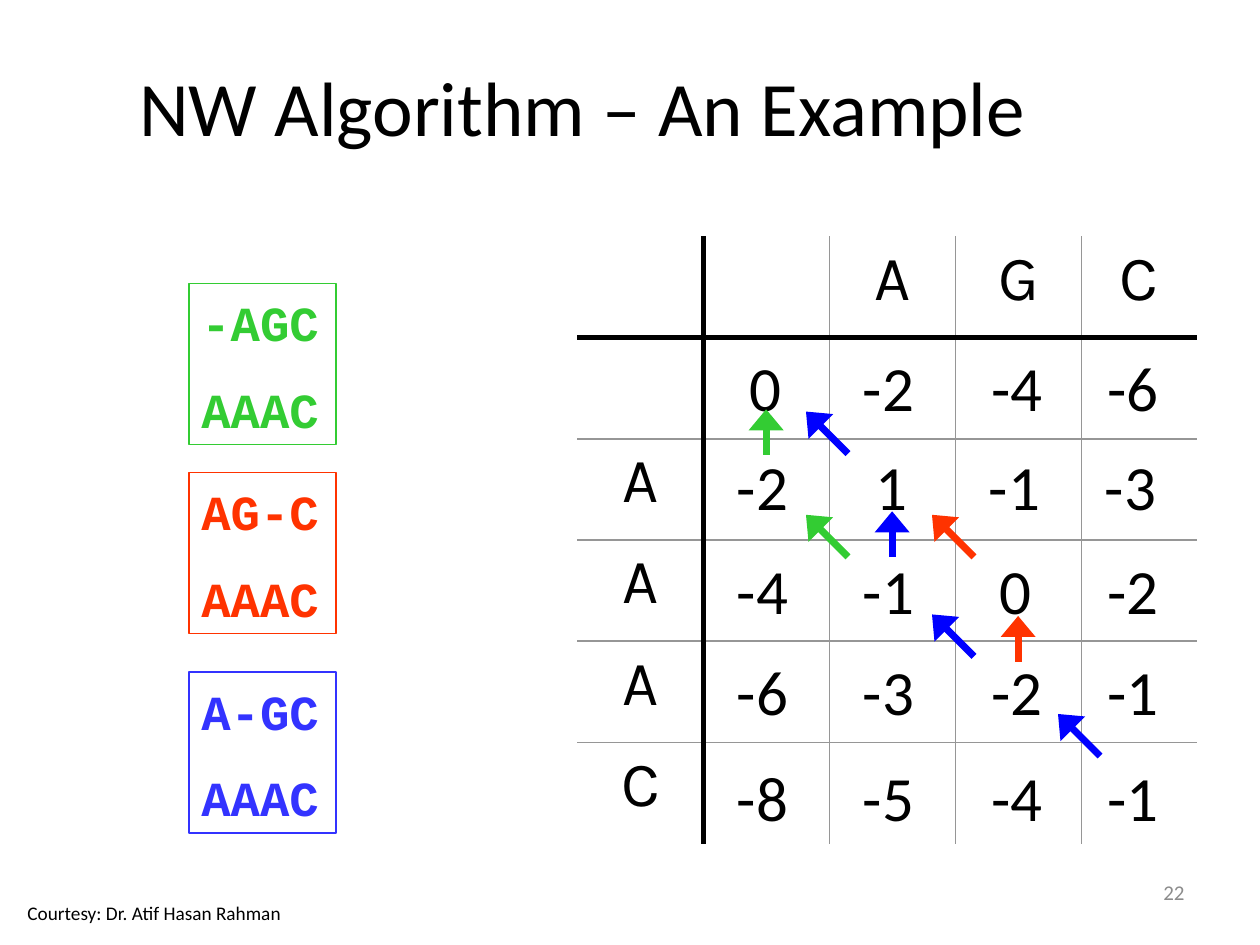
from lxml import etree
from pptx import Presentation
from pptx.dml.color import RGBColor
from pptx.enum.shapes import MSO_CONNECTOR, MSO_SHAPE
from pptx.enum.text import MSO_ANCHOR, PP_ALIGN
from pptx.oxml.ns import qn
from pptx.util import Pt

STRAIGHT = MSO_CONNECTOR.STRAIGHT
RECT = MSO_SHAPE.RECTANGLE
TOP, MIDDLE, BOTTOM = MSO_ANCHOR.TOP, MSO_ANCHOR.MIDDLE, MSO_ANCHOR.BOTTOM
LEFT, CENTER, RIGHT = PP_ALIGN.LEFT, PP_ALIGN.CENTER, PP_ALIGN.RIGHT

BLACK, GRAY = "000000", "969696"
GREEN, RED, BLUE, INDIGO = "33CC33", "FF3300", "0000FF", "3333FF"

GRID_LEFT, GRID_TOP = 330, 135
COL_W, LAST_COL_W, ROW_H = 72, 66, 57.85
GRID_RIGHT = GRID_LEFT + 4 * COL_W + LAST_COL_W
GRID_BOTTOM = GRID_TOP + 6 * ROW_H

TOP_SEQUENCE, SIDE_SEQUENCE = "AGC", "AAAC"
SCORES = [
    ["0", "-2", "-4", "-6"],
    ["-2", "1", "-1", "-3"],
    ["-4", "-1", "0", "-2"],
    ["-6", "-3", "-2", "-1"],
    ["-8", "-5", "-4", "-1"],
]
SCORE_X = [414, 486, 559.4, 625.7]
SCORE_Y = [195.8, 252, 311.8, 369.4, 429.8]
SCORE_SHIFT = {(1, 2): -1.4, (1, 3): -1.5, (2, 2): -2.8}

DIAGONALS = [
    (0, 259.2, BLUE),
    (0, 318.2, GREEN),
    (1, 318.2, RED),
    (1, 375.1, BLUE),
    (2, 432, BLUE),
]
UPS = [(0, 259.9, GREEN), (1, 318.2, BLUE), (2, 378, RED)]

ALIGNMENTS = [("-AGC", 162, GREEN), ("AG-C", 270, RED), ("A-GC", 384, INDIGO)]


def rgb(value):
    """Turn a hex string into a colour."""
    return RGBColor.from_string(value)


def add_run(p, text, size, color, font="Calibri", bold=False):
    """Add one formatted run to a paragraph."""
    r = p.add_run()
    r.text = text
    r.font.size = Pt(size)
    r.font.name = font
    r.font.bold = bold
    r.font.color.rgb = rgb(color)


def add_text(s, text, x, y, w, h, size, color=BLACK, align=LEFT, anchor=TOP, wrap=True):
    """Add a text box with one line of text."""
    tf = s.shapes.add_textbox(Pt(x), Pt(y), Pt(w), Pt(h)).text_frame
    tf.word_wrap = wrap
    tf.vertical_anchor = anchor
    p = tf.paragraphs[0]
    p.alignment = align
    add_run(p, text, size, color)


def add_line(s, x1, y1, x2, y2, color, width, arrow=False):
    """Add a straight line, with an arrowhead at its end if asked."""
    line = s.shapes.add_connector(STRAIGHT, Pt(x1), Pt(y1), Pt(x2), Pt(y2))
    line.line.color.rgb = rgb(color)
    line.line.width = Pt(width)
    sp_pr = line._element.spPr
    if arrow:
        etree.SubElement(sp_pr.find(qn("a:ln")), qn("a:tailEnd"),
                         type="triangle", w="lg", len="med")
    etree.SubElement(sp_pr, qn("a:effectLst"))


def add_letter_table(s):
    """Add the table that carries the letters of both sequences."""
    table = s.shapes.add_table(6, 5, Pt(GRID_LEFT), Pt(GRID_TOP),
                               Pt(GRID_RIGHT - GRID_LEFT), Pt(6 * ROW_H)).table
    table.first_row = table.horz_banding = False
    for i, column in enumerate(table.columns):
        column.width = Pt(COL_W if i < 4 else LAST_COL_W)
    for row in table.rows:
        row.height = Pt(ROW_H)
    for cell in table.iter_cells():
        cell.fill.background()
    letters = [(0, i, c) for i, c in enumerate(TOP_SEQUENCE, 2)]
    letters += [(i, 0, c) for i, c in enumerate(SIDE_SEQUENCE, 2)]
    for row, col, letter in letters:
        p = table.cell(row, col).text_frame.paragraphs[0]
        p.alignment = CENTER
        add_run(p, letter, 36, BLACK, "Karla")


def add_grid_lines(s):
    """Rule the table, with heavy lines beside the letters."""
    for i in range(1, 6):
        y = GRID_TOP + i * ROW_H
        if i > 1:
            add_line(s, GRID_LEFT, y, GRID_RIGHT, y, GRAY, 1)
    for i in range(2, 5):
        x = GRID_LEFT + i * COL_W
        add_line(s, x, GRID_TOP, x, GRID_BOTTOM, GRAY, 1)
    x, y = GRID_LEFT + COL_W, GRID_TOP + ROW_H
    add_line(s, x, GRID_TOP, x, GRID_BOTTOM, BLACK, 3)
    add_line(s, GRID_LEFT, y, GRID_RIGHT, y, BLACK, 3)


def add_scores(s):
    """Write the score of every cell."""
    for i, row in enumerate(SCORES):
        for j, score in enumerate(row):
            x = SCORE_X[j] + SCORE_SHIFT.get((i, j), 0)
            w = 46.8
            if len(score) == 1:
                x, w = x + 7.2, 34.6
            add_text(s, score, x, SCORE_Y[i], w, 50.4, 36, wrap=False)


def add_traceback(s):
    """Draw the traceback arrows."""
    for col, y, color in DIAGONALS:
        x = 484.6 + col * COL_W
        add_line(s, x, y, x - 24, y - 24, color, 4, arrow=True)
    for col, y, color in UPS:
        x = 437.8 + col * COL_W
        add_line(s, x, y, x, y - 26, color, 4, arrow=True)


def add_alignment(s, first, y, color):
    """Add a framed pair of aligned sequences."""
    sp = s.shapes.add_shape(RECT, Pt(108), Pt(y), Pt(84), Pt(92))
    sp.shadow.inherit = False
    sp.fill.background()
    sp.line.color.rgb = rgb(color)
    sp.line.width = Pt(0.75)
    tf = sp.text_frame
    tf.word_wrap = True
    tf.vertical_anchor = BOTTOM
    p = tf.paragraphs[0]
    p.alignment = LEFT
    add_run(p, first, 28, color, "Courier New", True)
    p = tf.add_paragraph()
    p.alignment = LEFT
    p.space_before = Pt(16)
    add_run(p, SIDE_SEQUENCE, 28, color, "Courier New", True)


def main():
    """Build and save the slide."""
    prs = Presentation()
    prs.slide_width, prs.slide_height = Pt(720), Pt(540)
    s = prs.slides.add_slide(prs.slide_layouts[6])
    add_text(s, "22", 516, 492, 168, 36, 12, "8C8C8C", RIGHT, MIDDLE)
    add_text(s, "NW Algorithm – An Example", 36, 9.4, 594, 102, 44,
             align=CENTER, anchor=MIDDLE)
    add_letter_table(s)
    add_grid_lines(s)
    add_scores(s)
    add_traceback(s)
    for first, y, color in ALIGNMENTS:
        add_alignment(s, first, y, color)
    add_text(s, "Courtesy: Dr. Atif Hasan Rahman", 8.6, 511.2, 297.4, 20.9, 11)
    prs.save("out.pptx")


if __name__ == "__main__":
    main()
